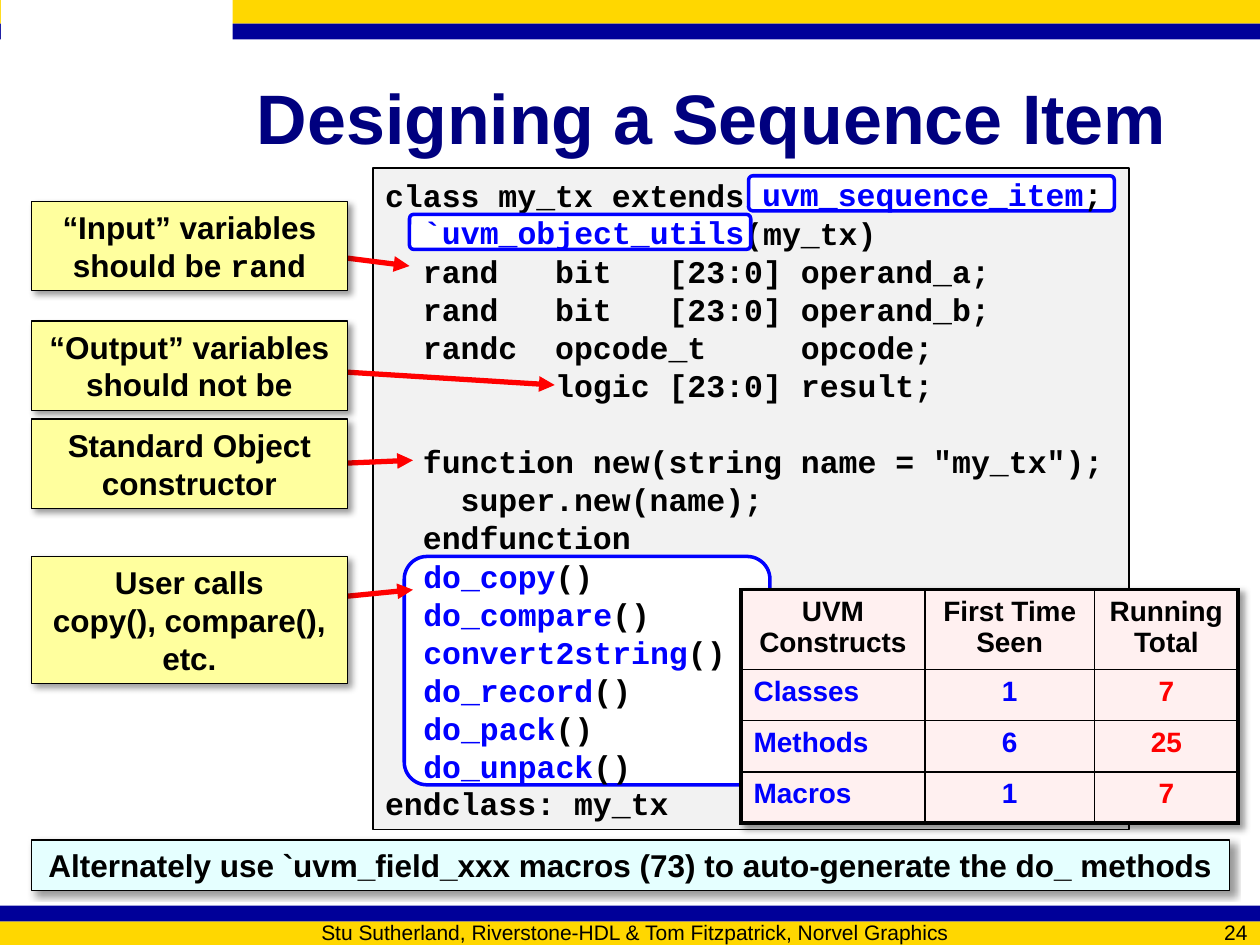
from lxml import etree
from pptx import Presentation
from pptx import util as u
from pptx.dml import color
from pptx.enum import shapes, text
from pptx.oxml import ns

Pt = u.Pt


class Theme:
    sans, mono = "Arial", "Courier New"
    gold, band, white, black = "FFD700", "000099", "FFFFFF", "000000"
    title, code, note, tip, table = "00007F", "F2F2F2", "FFFF9E", "E5FFFF", "FFF0F0"
    blue, red = "0000FF", "FF0000"
    title_size, body_size, table_size, foot_size = 40, 18, 16, 12
    pitch = 21.7


rgb = color.RGBColor.from_string
shadow_xml = (
    '<a:outerShdw xmlns:a="http://schemas.openxmlformats.org/drawingml/2006/main" '
    'blurRad="50800" dist="38100" dir="2700000" algn="tl" rotWithShape="0">'
    f'<a:srgbClr val="{Theme.black}"><a:alpha val="40000"/></a:srgbClr></a:outerShdw>'
)


def box(x, y, w, h, fill, line=None, width=1, radius=None, shadow=False):
    kind = shapes.MSO_SHAPE.RECTANGLE if radius is None else shapes.MSO_SHAPE.ROUNDED_RECTANGLE
    sp = s.shapes.add_shape(kind, Pt(x), Pt(y), Pt(w), Pt(h))
    if radius is not None:
        sp.adjustments[0] = radius
    sp.fill.solid()
    sp.fill.fore_color.rgb = rgb(fill)
    if line:
        sp.line.color.rgb = rgb(line)
        sp.line.width = Pt(width)
    else:
        sp.line.fill.background()
    sp.shadow.inherit = False
    if shadow:
        sp._element.spPr.find(ns.qn("a:effectLst")).append(etree.fromstring(shadow_xml))
    return sp


def write(tf, lines, font, size, align=text.PP_ALIGN.LEFT, bold=True, pitch=None,
          anchor=text.MSO_ANCHOR.TOP, wrap=True):
    tf.word_wrap = wrap
    tf.vertical_anchor = anchor
    for i, line in enumerate(lines):
        p = tf.paragraphs[0] if i == 0 else tf.add_paragraph()
        p.alignment = align
        p.font.name, p.font.size, p.font.bold = font, Pt(size), bold
        if pitch:
            p.line_spacing = Pt(pitch)
        for words, ink, *face in line:
            r = p.add_run()
            r.text = words
            r.font.color.rgb = rgb(ink)
            if face:
                r.font.name = face[0]


prs = Presentation()
prs.slide_width, prs.slide_height = Pt(720), Pt(540)
s = prs.slides.add_slide(prs.slide_layouts[5])
middle, center = text.MSO_ANCHOR.MIDDLE, text.PP_ALIGN.CENTER

for x, y, w, h, fill in [
    (0, 0, 720, 13.5, Theme.gold),
    (0, 13.5, 720, 9, Theme.band),
    (0.5, 0, 132.5, 78, Theme.white),
    (0, 526.5, 720, 13.5, Theme.gold),
    (0, 517.5, 720, 9, Theme.band),
]:
    box(x, y, w, h, fill)

title = s.shapes.title
title.left, title.top, title.width, title.height = Pt(139.5), Pt(21.5), Pt(575), Pt(90)
write(title.text_frame, [[("Designing a Sequence Item", Theme.title)]],
      Theme.sans, Theme.title_size, anchor=middle)

for x, w, words, align in [
    (90, 546, "Stu Sutherland, Riverstone-HDL & Tom Fitzpatrick, Norvel Graphics", center),
    (648, 72, "24", text.PP_ALIGN.RIGHT),
]:
    tf = s.shapes.add_textbox(Pt(x), Pt(526.5), Pt(w), Pt(12.5)).text_frame
    tf.margin_top = tf.margin_bottom = 0
    write(tf, [[(words, Theme.black)]], Theme.sans, Theme.foot_size, align, False, anchor=middle)

code = [
    "class my_tx extends",
    "                   (my_tx)",
    "  rand   bit   [23:0] operand_a;",
    "  rand   bit   [23:0] operand_b;",
    "  randc  opcode_t     opcode;",
    "         logic [23:0] result;",
    '  function new(string name = "my_tx");',
    "    super.new(name);",
    "  endfunction",
    "endclass: my_tx",
]
tf = box(213, 96, 432, 378, Theme.code, Theme.black).text_frame
tf.margin_top = tf.margin_bottom = Pt(4.6)
write(tf, [[(line, Theme.black)] for line in code], Theme.mono, Theme.body_size, pitch=Theme.pitch)
tf.paragraphs[6].space_before = Pt(Theme.pitch)
tf.paragraphs[9].space_before = Pt(6 * Theme.pitch)

sp = box(18, 480, 684.5, 29, Theme.tip, Theme.black, 0.75, shadow=True)
write(sp.text_frame,
      [[("Alternately use `uvm_field_xxx macros (73) to auto-generate the do_ methods", Theme.black)]],
      Theme.sans, Theme.body_size, center, pitch=Theme.pitch)

methods = ["do_copy", "do_compare", "convert2string", "do_record", "do_pack", "do_unpack"]
for x, y, w, h, radius, lines in [
    (231, 318, 209, 130.5, 0.1, [[(m, Theme.blue), ("()", Theme.black)] for m in methods]),
    (427.75, 100.5, 209, 20, 0.12, [[("uvm_sequence_item", Theme.blue), (";", Theme.black)]]),
    (234, 122.5, 195, 20, 0.12, [[("`uvm_object_utils", Theme.blue)]]),
]:
    sp = box(x, y, w, h, Theme.white, Theme.blue, 2, radius)
    write(sp.text_frame, lines, Theme.mono, Theme.body_size,
          pitch=Theme.pitch, anchor=middle, wrap=False)

for y, h, start, end, lines in [
    (115, 51, 142, (234, 152), [[("“Input” variables should be ", Theme.black),
                                 ("rand", Theme.black, Theme.mono)]]),
    (183.5, 51, 210, (317, 220), [[("“Output” variables should not be", Theme.black)]]),
    (239.5, 51, 266.5, (236, 263), [[("Standard Object constructor", Theme.black)]]),
    (318, 72.5, 345, (236, 337), [[(t, Theme.black)]
                                  for t in ("User calls", "copy(), compare(),", "etc.")]),
]:
    arrow = s.shapes.add_connector(shapes.MSO_CONNECTOR.STRAIGHT, Pt(155), Pt(start), *map(Pt, end))
    arrow.line.color.rgb = rgb(Theme.red)
    arrow.line.width = Pt(3)
    etree.SubElement(arrow.line._get_or_add_ln(), ns.qn("a:tailEnd"), type="triangle")
    etree.SubElement(arrow._element.spPr, ns.qn("a:effectLst"))
    sp = box(18, y, 180.5, h, Theme.note, Theme.black, 0.75, shadow=True)
    write(sp.text_frame, lines, Theme.sans, Theme.body_size, center, pitch=Theme.pitch)

rows = [
    ("UVM Constructs", "First Time Seen", "Running Total"),
    ("Classes", "1", "7"),
    ("Methods", "6", "25"),
    ("Macros", "1", "7"),
]
frame = s.shapes.add_table(4, 3, Pt(423.5), Pt(337), Pt(284), Pt(133))
table = frame.table
effects = etree.Element(ns.qn("a:effectLst"))
effects.append(etree.fromstring(shadow_xml))
table._tbl.tblPr.insert(0, effects)
for column, width in zip(table.columns, (105, 97, 82)):
    column.width = Pt(width)
for i, row in enumerate(rows):
    table.rows[i].height = Pt(29.25 if i else 45.25)
    for j, words in enumerate(row):
        cell = table.cell(i, j)
        for side, outer in [("L", j == 0), ("R", j == 2), ("T", i == 0), ("B", i == 3)]:
            ln = etree.SubElement(cell._tc.get_or_add_tcPr(), ns.qn(f"a:ln{side}"),
                                  w=str(Pt(2.25 if outer else 1)))
            etree.SubElement(etree.SubElement(ln, ns.qn("a:solidFill")),
                             ns.qn("a:srgbClr"), val=Theme.black)
        cell.fill.solid()
        cell.fill.fore_color.rgb = rgb(Theme.table)
        ink = (Theme.blue, Theme.blue, Theme.red)[j] if i else Theme.black
        align = text.PP_ALIGN.LEFT if i and j == 0 else center
        write(cell.text_frame, [[(words, ink)]], Theme.sans, Theme.table_size, align)

prs.save("out.pptx")
